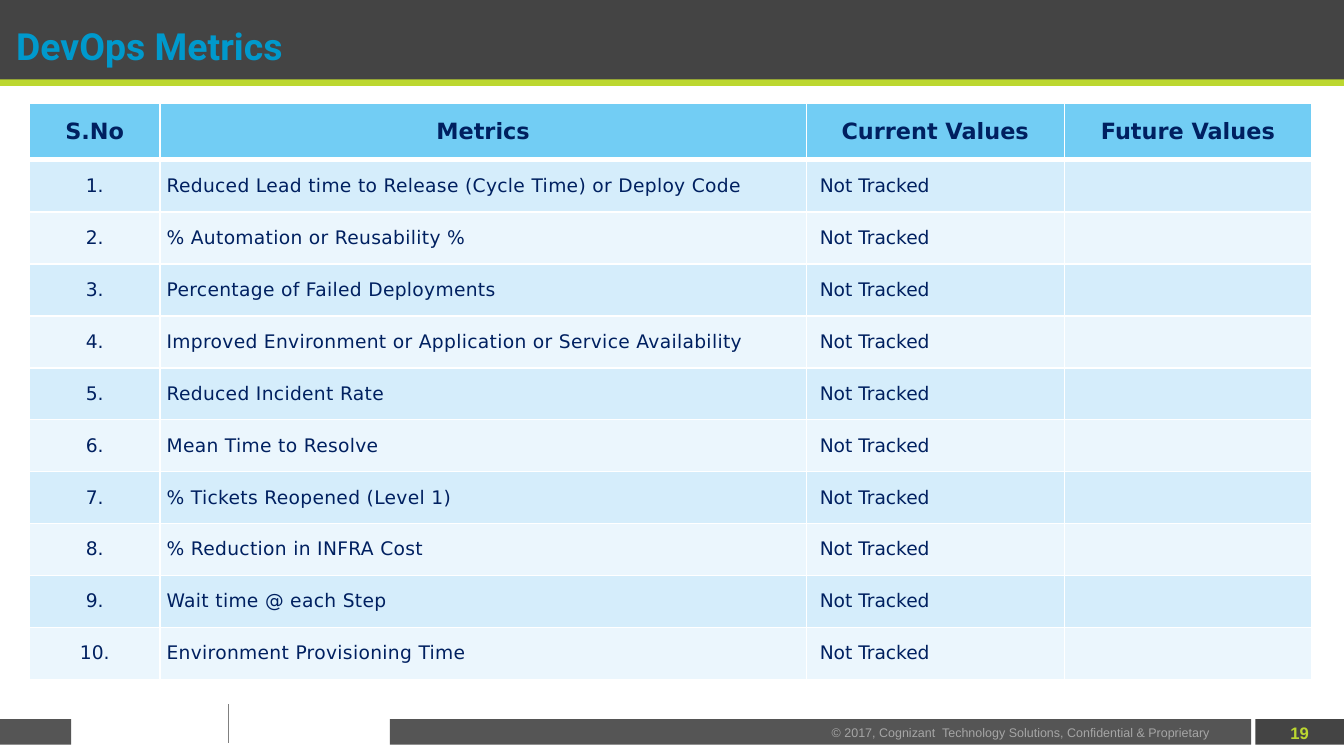
from lxml.etree import SubElement
from pptx import Presentation
from pptx.dml.color import RGBColor
from pptx.enum.shapes import MSO_CONNECTOR, MSO_SHAPE
from pptx.enum.text import MSO_ANCHOR, MSO_AUTO_SIZE, PP_ALIGN
from pptx.oxml.ns import qn
from pptx.util import Inches, Pt

WHITE = RGBColor(0xFF, 0xFF, 0xFF)
DARK = RGBColor(0x44, 0x44, 0x44)
GRAY = RGBColor(0x55, 0x55, 0x55)
RULE = RGBColor(0x80, 0x80, 0x80)
SILVER = RGBColor(0xA6, 0xA6, 0xA6)
LIME = RGBColor(0xBC, 0xD7, 0x30)
BLUE = RGBColor(0x00, 0x99, 0xCC)
NAVY = RGBColor(0x00, 0x20, 0x60)
HEADER = RGBColor(0x72, 0xCD, 0xF4)
BAND_DARK = RGBColor(0xD5, 0xED, 0xFB)
BAND_LIGHT = RGBColor(0xEB, 0xF6, 0xFD)

HEADINGS = ["S.No", "Metrics", "Current Values", "Future Values"]
METRICS = [
    "Reduced Lead time to Release (Cycle Time) or Deploy Code",
    "% Automation or Reusability %",
    "Percentage of Failed Deployments",
    "Improved Environment or Application or Service Availability",
    "Reduced Incident Rate",
    "Mean Time to Resolve",
    "% Tickets Reopened (Level 1)",
    "% Reduction in INFRA Cost",
    "Wait time @ each Step",
    "Environment Provisioning Time",
]
COL_WIDTHS = [0.97, 4.81, 1.92, 1.84]
HEADER_HEIGHT = 0.42


def add_run(p, text, font, size, color, bold=False):
    r = p.add_run()
    r.text = text
    r.font.name = font
    r.font.size = Pt(size)
    r.font.color.rgb = color
    r.font.bold = bold
    return r


def add_bar(slide, x, y, w, h, color):
    sp = slide.shapes.add_shape(
        MSO_SHAPE.RECTANGLE, Inches(x), Inches(y), Inches(w), Inches(h))
    sp.shadow.inherit = False
    sp.fill.solid()
    sp.fill.fore_color.rgb = color
    sp.line.fill.background()


def add_label(slide, x, y, w, h, wrap, align):
    sp = slide.shapes.add_textbox(Inches(x), Inches(y), Inches(w), Inches(h))
    tf = sp.text_frame
    tf.word_wrap = wrap
    tf.vertical_anchor = MSO_ANCHOR.MIDDLE
    p = tf.paragraphs[0]
    p.alignment = align
    return p


def add_header(slide, x, y, w, h):
    add_bar(slide, x, y, w, h - 0.04, DARK)
    add_bar(slide, x, y + h - 0.05, w, 0.05, LIME)
    title = slide.shapes.title
    slide.shapes._spTree.append(title._element)
    title.left, title.top = Inches(x + 0.12), Inches(y + 0.09)
    title.width, title.height = Inches(9.26), Inches(0.5)
    tf = title.text_frame
    tf.auto_size = MSO_AUTO_SIZE.NONE
    tf.word_wrap = True
    tf.vertical_anchor = MSO_ANCHOR.MIDDLE
    tf.margin_left = tf.margin_right = 0
    tf.margin_top = tf.margin_bottom = Inches(0.07)
    p = tf.paragraphs[0]
    p.alignment = PP_ALIGN.LEFT
    add_run(p, "DevOps Metrics", "Roboto", 20, BLUE, True)


def add_footer(slide, x, y, w, h):
    for left, width, color in [(0, 0.53, GRAY), (2.9, 6.41, GRAY),
                               (9.34, w - 9.34, DARK)]:
        add_bar(slide, x + left, y, width, h, color)
    line = slide.shapes.add_connector(
        MSO_CONNECTOR.STRAIGHT, Inches(x + 1.7), Inches(y - 0.11),
        Inches(x + 1.7), Inches(y + 0.18))
    line.line.color.rgb = RULE
    line.line.width = Pt(1)
    SubElement(line._element.spPr, qn("a:effectLst"))
    p = add_label(slide, x + 6.09, y + 0.01, 3.06, 0.18, True, PP_ALIGN.LEFT)
    add_run(p, "© 2017, Cognizant  Technology Solutions, Confidential & Proprietary",
            "Arial", 6.7, SILVER)
    p = add_label(slide, x + 9.45, y - 0.01, 0.44, 0.23, False, PP_ALIGN.CENTER)
    add_run(p, "19", "Arial", 8.9, LIME, True)


def set_borders(cell, bottom):
    tc_pr = cell._tc.get_or_add_tcPr()
    for side, width in [("L", 1), ("R", 1), ("T", 1), ("B", bottom)]:
        ln = SubElement(tc_pr, qn(f"a:ln{side}"), w=str(Pt(width)))
        fill = SubElement(ln, qn("a:solidFill"))
        SubElement(fill, qn("a:srgbClr"), val=str(WHITE))


def fill_cell(cell, text, color, header, centered, spaced):
    set_borders(cell, 3 if header else 1)
    cell.fill.solid()
    cell.fill.fore_color.rgb = color
    cell.vertical_anchor = MSO_ANCHOR.MIDDLE
    p = cell.text_frame.paragraphs[0]
    p.alignment = PP_ALIGN.CENTER if centered else PP_ALIGN.LEFT
    if not text:
        SubElement(p._p, qn("a:endParaRPr"), sz="1000")
        return
    r = add_run(p, text, "DejaVu Sans", 12 if header else 10, NAVY, header)
    if spaced:
        cell.margin_left = Inches(0.05)
        cell.margin_right = cell.margin_top = cell.margin_bottom = 0
        r.font._element.set("spc", "20")


def add_metrics_table(slide, x, y, w, h):
    rows = [HEADINGS] + [
        [f"{n}.", metric, "Not Tracked", ""] for n, metric in enumerate(METRICS, 1)]
    table = slide.shapes.add_table(
        len(rows), len(HEADINGS), Inches(x), Inches(y), Inches(w), Inches(h)).table
    for col, width in zip(table.columns, COL_WIDTHS):
        col.width = Inches(width)
    body_height = (h - HEADER_HEIGHT) / len(METRICS)
    for i, row in enumerate(rows):
        header = i == 0
        table.rows[i].height = Inches(HEADER_HEIGHT if header else body_height)
        color = HEADER if header else BAND_DARK if i % 2 else BAND_LIGHT
        for j, text in enumerate(row):
            fill_cell(table.cell(i, j), text, color, header,
                      centered=header or j == 0, spaced=not header and j == 1)


def main():
    prs = Presentation()
    prs.slide_width = Inches(10)
    prs.slide_height = prs.slide_width * 9 // 16
    slide = prs.slides.add_slide(prs.slide_layouts[5])
    add_footer(slide, 0, 5.35, 10, 0.19)
    add_header(slide, 0, 0, 10, 0.64)
    add_metrics_table(slide, 0.22, 0.77, sum(COL_WIDTHS), 4.29)
    prs.save("out.pptx")


if __name__ == "__main__":
    main()
